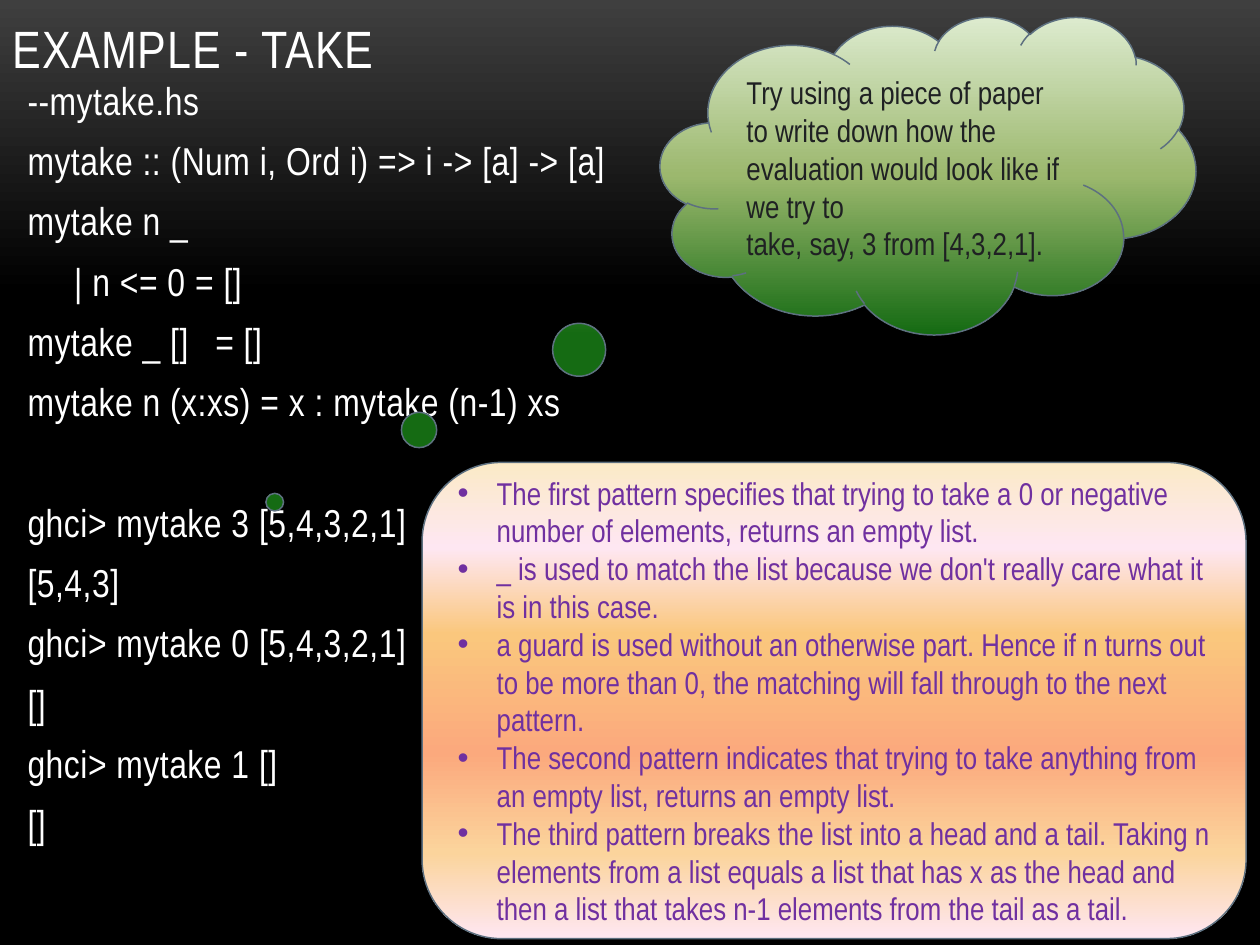
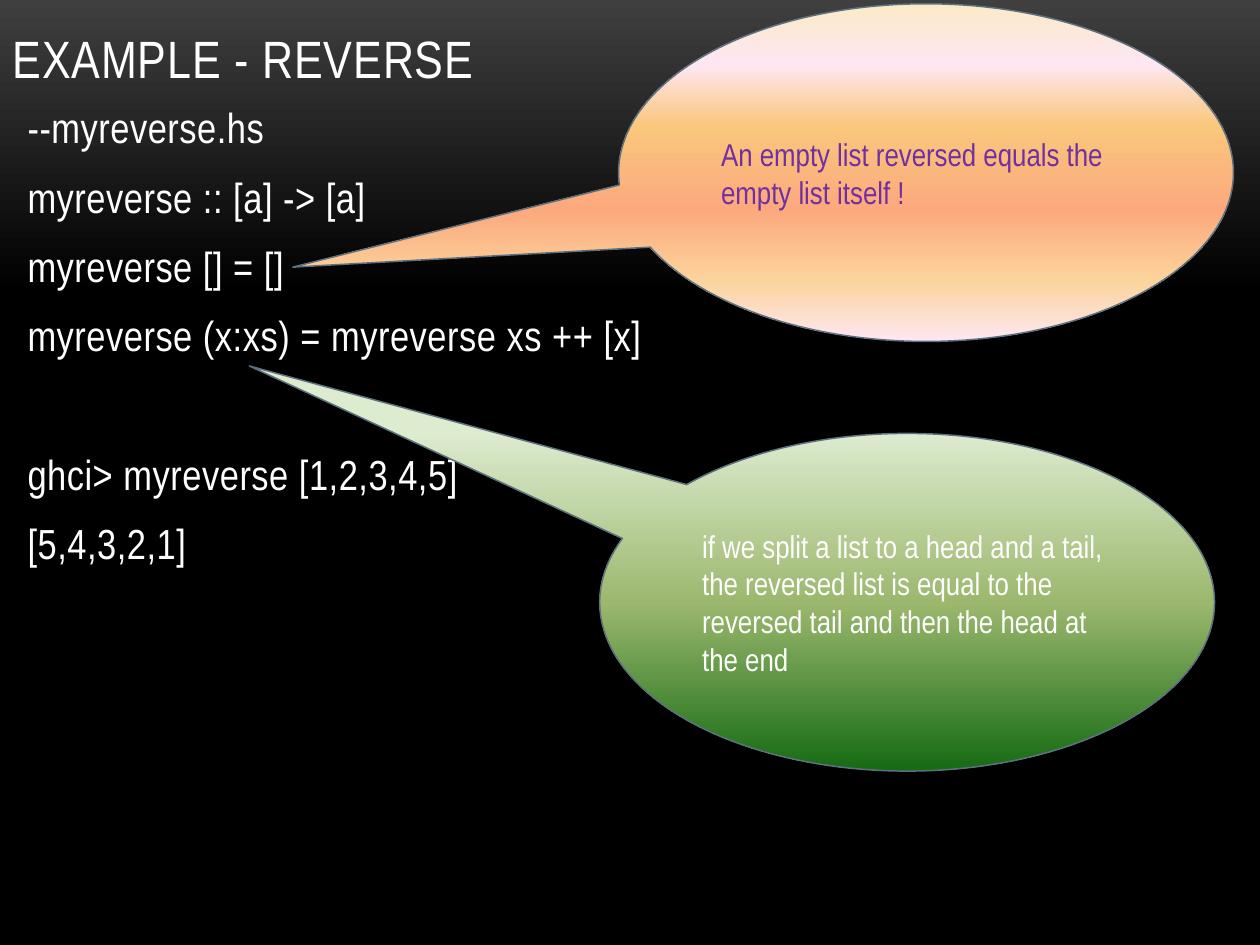
from dataclasses import dataclass

import lxml.etree
import pptx
import pptx.dml.color
import pptx.enum.shapes
import pptx.enum.text
import pptx.oxml.ns
import pptx.util

SHAPE = pptx.enum.shapes.MSO_SHAPE
ANCHOR = pptx.enum.text.MSO_ANCHOR
WIDTH = pptx.util.Inches(10)
HEIGHT = pptx.util.Inches(7.5)


@dataclass(frozen=True)
class Theme:
    font: str = "Arial Narrow"
    title_size: float = 30
    note_size: float = 18
    title_tracking: int = 50
    code_tracking: int = 30
    after: float = 6
    bullet_indent: float = 0.31
    guard_indent: float = 0.37
    code_tab: float = 1.49
    white: str = "FFFFFF"
    purple: str = "7030A0"
    ink: str = "1F2123"
    outline: str = "5D7080"
    outline_width: float = 0.85
    night: tuple = ((0, "3F3F3F"), (31, "000000"), (100, "000000"))
    meadow: tuple = ((0, "DDEBCF"), (50, "9CB86E"), (100, "156B13"))
    sunset: tuple = ((0, "FBEAC7"), (18, "FEE7F2"), (36, "FAC77D"),
                     (61, "FBA97D"), (82, "FBD49C"), (100, "FEE7F2"))


THEME = Theme()

TAKE_CODE = [
    ["--mytake.hs",
     "mytake :: (Num i, Ord i) => i -> [a] -> [a]",
     "mytake n _",
     "| n <= 0 = []",
     "mytake _ []\t= []",
     "mytake n (x:xs) = x : mytake (n-1) xs"],
    ["ghci> mytake 3 [5,4,3,2,1]",
     "[5,4,3]",
     "ghci> mytake 0 [5,4,3,2,1]",
     "[]",
     "ghci> mytake 1 []",
     "[]"],
]
TAKE_NOTES = [
    "The first pattern specifies that trying to take a 0 or negative number of "
    "elements, returns an empty list.",
    "_ is used to match the list because we don't really care what it is in this case.",
    "a guard is used without an otherwise part. Hence if n turns out to be more "
    "than 0, the matching will fall through to the next pattern.",
    "The second pattern indicates that trying to take anything from an empty list, "
    "returns an empty list.",
    "The third pattern breaks the list into a head and a tail. Taking n elements "
    "from a list equals a list that has x as the head and then a list that takes "
    "n-1 elements from the tail as a tail.",
]
TAKE_TASK = [
    "Try using a piece of paper to write down how the evaluation would look like "
    "if we try to",
    "take, say, 3 from [4,3,2,1].",
]
REVERSE_CODE = [
    ["--myreverse.hs",
     "myreverse :: [a] -> [a]",
     "myreverse [] = []",
     "myreverse (x:xs) = myreverse xs ++ [x]"],
    ["ghci> myreverse [1,2,3,4,5]",
     "[5,4,3,2,1]"],
]
EMPTY_NOTE = ["An empty list reversed equals the empty list itself !"]
SPLIT_NOTE = [
    "if we split a list to a head and a tail, the reversed list is equal to the "
    "reversed tail and then the head at the end",
]


def rgb(value):
    return pptx.dml.color.RGBColor.from_string(value)


def percent(left, top, width, height):
    return [round(share / 100 * side) for share, side in
            zip((left, top, width, height), (WIDTH, HEIGHT, WIDTH, HEIGHT))]


def add_xml(parent, tag, **attributes):
    child = lxml.etree.SubElement(parent, pptx.oxml.ns.qn(tag))
    for name, value in attributes.items():
        child.set(name, str(value))
    return child


def paint_gradient(fill, element, stops):
    fill.gradient()
    fill.gradient_angle = 270
    stop_list = next(element.iter(pptx.oxml.ns.qn("a:gsLst")))
    for stop in list(stop_list):
        stop_list.remove(stop)
    for position, color in stops:
        stop = add_xml(stop_list, "a:gs", pos=position * 1000)
        add_xml(stop, "a:srgbClr", val=color)


def format_runs(p, size, color, tracking=0):
    for r in p.runs:
        r.font.name = THEME.font
        r.font.size = pptx.util.Pt(size)
        r.font.color.rgb = rgb(color)
        if tracking:
            r.font._element.set("spc", str(tracking))


def indent(p, left, first=0):
    pPr = p._p.get_or_add_pPr()
    pPr.set("marL", str(pptx.util.Inches(left)))
    pPr.set("indent", str(pptx.util.Inches(first)))
    return pPr


def add_paragraphs(tf, lines):
    for i, line in enumerate(lines):
        p = tf.add_paragraph() if i else tf.paragraphs[0]
        p.text = line
        p.alignment = pptx.enum.text.PP_ALIGN.LEFT
        yield p


def add_titled_slide(prs, title, top, height):
    s = prs.slides.add_slide(prs.slide_layouts[5])
    sp = s.shapes.title
    sp.left, sp.top, sp.width, sp.height = percent(0, top, 86.7, height)
    tf = sp.text_frame
    tf.auto_size = pptx.enum.text.MSO_AUTO_SIZE.NONE
    tf.vertical_anchor = ANCHOR.BOTTOM
    for p in add_paragraphs(tf, [title]):
        format_runs(p, THEME.title_size, THEME.white, THEME.title_tracking)
    return s


def add_code(s, blocks, top, height, size, spacing):
    tf = s.shapes.add_textbox(*percent(1.2, top, 96.9, height)).text_frame
    tf.word_wrap = True
    before = 0.2 * size
    block_gap = 1.2 * size * spacing + before + THEME.after
    block_starts = [i == 0 for block in blocks for i in range(len(block))]
    lines = [line for block in blocks for line in block]
    for i, p in enumerate(add_paragraphs(tf, lines)):
        gap = block_gap if i and block_starts[i] else 0
        p.line_spacing = spacing
        p.space_before = pptx.util.Pt(before + gap)
        p.space_after = pptx.util.Pt(THEME.after)
        format_runs(p, size, THEME.white, THEME.code_tracking)
        if lines[i].startswith("|"):
            indent(p, THEME.guard_indent)
        if "\t" in lines[i]:
            tabs = add_xml(p._p.get_or_add_pPr(), "a:tabLst")
            add_xml(tabs, "a:tab", pos=pptx.util.Inches(THEME.code_tab), algn="l")


def add_note(s, kind, box, lines, stops, color, pointer=(), bullets=False):
    sp = s.shapes.add_shape(kind, *percent(*box))
    for i, value in enumerate(pointer):
        sp.adjustments[i] = value
    sp.shadow.inherit = False
    paint_gradient(sp.fill, sp.element, stops)
    sp.line.color.rgb = rgb(THEME.outline)
    sp.line.width = pptx.util.Pt(THEME.outline_width)
    tf = sp.text_frame
    tf.word_wrap = True
    tf.vertical_anchor = ANCHOR.MIDDLE
    for p in add_paragraphs(tf, lines):
        format_runs(p, THEME.note_size, color)
        if bullets:
            pPr = indent(p, THEME.bullet_indent, -THEME.bullet_indent)
            add_xml(pPr, "a:buFont", typeface="Arial")
            add_xml(pPr, "a:buChar", char="•")


def build_take(prs):
    s = add_titled_slide(prs, "EXAMPLE - TAKE", 0, 9.07)
    add_code(s, TAKE_CODE, 8, 89.2, size=22.2, spacing=0.9)
    add_note(s, SHAPE.FLOWCHART_ALTERNATE_PROCESS, (33.5, 48.93, 65.4, 50.4),
             TAKE_NOTES, THEME.sunset, THEME.purple, bullets=True)
    add_note(s, SHAPE.CLOUD_CALLOUT, (52.4, 1.73, 42.5, 33.6),
             TAKE_TASK, THEME.meadow, THEME.ink, pointer=(-1.22, 1.03))


def build_reverse(prs):
    s = add_titled_slide(prs, "EXAMPLE - REVERSE", 0.13, 10)
    add_code(s, REVERSE_CODE, 10.13, 87.2, size=24, spacing=1.0)
    add_note(s, SHAPE.OVAL_CALLOUT, (47.6, 45.87, 48.8, 35.73),
             SPLIT_NOTE, THEME.meadow, THEME.white, pointer=(-1.07, -0.7))
    add_note(s, SHAPE.OVAL_CALLOUT, (49.1, 0.4, 48.8, 35.73),
             EMPTY_NOTE, THEME.sunset, THEME.purple, pointer=(-1.03, 0.28))


def main():
    prs = pptx.Presentation()
    prs.slide_width, prs.slide_height = WIDTH, HEIGHT
    master = prs.slide_master
    paint_gradient(master.background.fill, master.element, THEME.night)
    build_take(prs)
    build_reverse(prs)
    prs.save("out.pptx")


if __name__ == "__main__":
    main()
